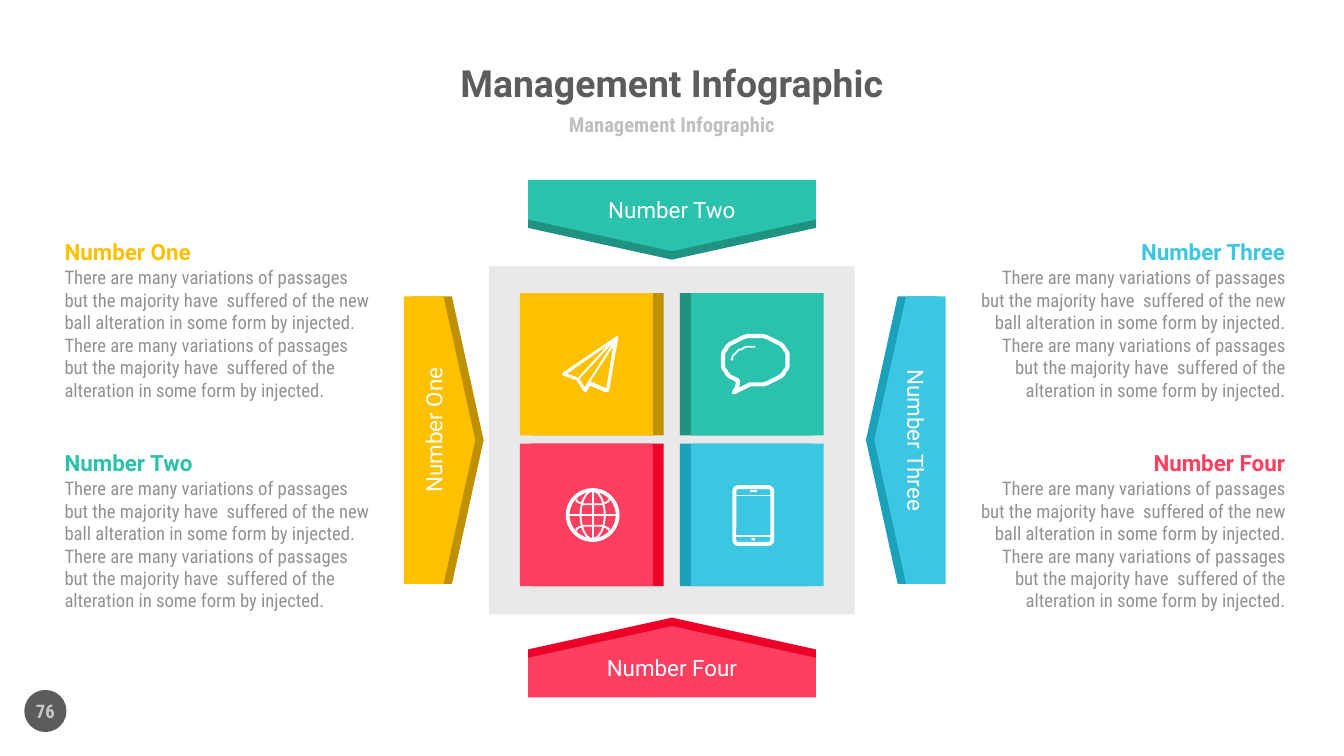
from math import cos, radians, sin

from lxml import etree
from pptx import Presentation
from pptx.dml.color import RGBColor
from pptx.enum import shapes, text
from pptx.oxml import ns
from pptx.util import Pt

COLORS = {
    "yellow": "FFC000", "yellow_dark": "BF9000",
    "teal": "2AC2AC", "teal_dark": "209281",
    "blue": "3BC7E2", "blue_dark": "1CA1BA",
    "red": "FF3F5F", "red_dark": "EE0028",
    "white": "FFFFFF", "panel": "E9E9E9", "title": "5C5C5C",
    "subtitle": "BFBFBF", "page": "C9C9C9", "body": "929292",
}
BODY = ("There are many variations of passages but the majority have  suffered of the new "
        "ball alteration in some form by injected. There are many variations of passages "
        "but the majority have  suffered of the alteration in some form by injected.")
SHAPE = shapes.MSO_SHAPE
ALIGN = text.PP_ALIGN
UNIT = 0.72


def rgb(name):
    """Return the named colour."""
    return RGBColor.from_string(COLORS[name])


def add_shape(s, kind, box, color):
    """Add a flat filled preset shape."""
    sp = s.shapes.add_shape(kind, *map(Pt, box))
    sp.shadow.inherit = False
    sp.fill.solid()
    sp.fill.fore_color.rgb = rgb(color)
    sp.line.fill.background()
    return sp


def add_text(s, box, words, size, color, font="Roboto", bold=False,
             align=ALIGN.CENTER, wrap=False, anchor=text.MSO_ANCHOR.MIDDLE):
    """Add a text box without insets."""
    sp = s.shapes.add_textbox(*map(Pt, box))
    tf = sp.text_frame
    tf.margin_left = tf.margin_right = tf.margin_top = tf.margin_bottom = 0
    tf.word_wrap = wrap
    tf.vertical_anchor = anchor
    p = tf.paragraphs[0]
    p.alignment = align
    r = p.add_run()
    r.text = words
    r.font.size = Pt(size)
    r.font.name = font
    r.font.bold = bold
    r.font.color.rgb = rgb(color)
    return sp


def outline(sp, width):
    """Give a shape a white line and no fill."""
    sp.shadow.inherit = False
    sp.fill.background()
    sp.line.color.rgb = rgb("white")
    sp.line.width = Pt(width)


def add_path(s, x, y, contours, close):
    """Add a freeform whose points are in icon units from x, y."""
    first, *rest = contours
    fb = s.shapes.build_freeform(*first[0], scale=Pt(UNIT))
    fb.add_line_segments(first[1:], close=close)
    for contour in rest:
        fb.move_to(*contour[0])
        fb.add_line_segments(contour[1:], close=close)
    return fb.convert_to_shape(Pt(x), Pt(y))


def add_line(s, x, y, ends, width):
    """Add a straight white line with its ends in icon units."""
    x1, y1, x2, y2 = (v * UNIT for v in ends)
    c = s.shapes.add_connector(shapes.MSO_CONNECTOR.STRAIGHT,
                               Pt(x + x1), Pt(y + y1), Pt(x + x2), Pt(y + y2))
    c.line.color.rgb = rgb("white")
    c.line.width = Pt(width)
    etree.SubElement(c._element.spPr, ns.qn("a:effectLst"))


def arc(cx, cy, rx, ry, start, end, step=6):
    """Return points along an ellipse, with angles in degrees."""
    return [(cx + rx * cos(radians(a)), cy + ry * sin(radians(a)))
            for a in range(start, end + 1, step)]


def plane_icon(s, x, y):
    """Draw a paper plane."""
    sp = add_path(s, x, y, [
        [(41, 0), (1, 27), (0, 29), (11, 33), (16, 41), (18, 42),
         (21, 37), (33, 42), (35, 41), (42, 1)],
        [(4, 28), (34, 7), (12, 31)],
        [(13, 32), (38, 5), (17, 38)],
        [(33, 39), (22, 34), (21, 34), (38, 8)],
    ], True)
    sp.shadow.inherit = False
    sp.fill.solid()
    sp.fill.fore_color.rgb = rgb("white")
    sp.line.fill.background()


def bubble_icon(s, x, y):
    """Draw a speech bubble with a highlight."""
    tail = [(18, 39.5), (14, 42.5), (9.5, 44.5), (12, 41), (13, 38)]
    outline(add_path(s, x, y, [arc(26, 20, 24.5, 18.3, 123, 463) + tail], True), 2.2)
    outline(add_path(s, x, y, [arc(26, 20, 17.5, 10.5, 180, 270)], False), 0.9)


def globe_icon(s, x, y):
    """Draw a globe with meridians and parallels."""
    for left, top, w, h, width in ((1.4, 1.4, 37.2, 37.2, 2), (11, 2, 18, 36, 1)):
        box = (x + left * UNIT, y + top * UNIT, w * UNIT, h * UNIT)
        outline(add_shape(s, SHAPE.OVAL, box, "white"), width)
    for ends in ((20, 2, 20, 38), (2, 20, 38, 20)):
        add_line(s, x, y, ends, 1)
    for cy, start in ((8.5, 0), (31.5, 180)):
        outline(add_path(s, x, y, [arc(20, cy, 12.5, 4, start, start + 180)], False), 1)


def phone_icon(s, x, y):
    """Draw a mobile phone."""
    case = add_shape(s, SHAPE.ROUNDED_RECTANGLE,
                     (x + 1.4 * UNIT, y + 1.4 * UNIT, 28.2 * UNIT, 42.2 * UNIT), "white")
    case.adjustments[0] = 0.1
    outline(case, 2.1)
    for ends in ((2, 7.5, 29, 7.5), (2, 37.5, 29, 37.5), (13, 4.5, 18, 4.5)):
        add_line(s, x, y, ends, 0.9)
    add_shape(s, SHAPE.OVAL, (x + 14 * UNIT, y + 39 * UNIT, 3 * UNIT, 2.2 * UNIT), "white")


def tile(s, box, color, inner_right, icon, dx, dy):
    """Draw a square with a dark inner edge and an icon."""
    x, y, w, h = box
    edge = 5.8
    add_shape(s, SHAPE.RECTANGLE, (x + edge * inner_right, y, w - edge, h), color + "_dark")
    add_shape(s, SHAPE.RECTANGLE, (x + edge * (not inner_right), y, w - edge, h), color)
    icon(s, x + dx, y + dy)


def matrix(s, box):
    """Draw the grey panel with four icon tiles."""
    x, y, w, h = box
    add_shape(s, SHAPE.RECTANGLE, box, "panel")
    tiles = (("yellow", plane_icon, 22.4, 23), ("teal", bubble_icon, 21.6, 21.6),
             ("red", globe_icon, 24.5, 23.8), ("blue", phone_icon, 28.1, 22.3))
    for i, (color, icon, dx, dy) in enumerate(tiles):
        row, col = divmod(i, 2)
        tile(s, (x + 16.5 + col * 85.7, y + 14.4 + row * 80.7, 77, 76.3),
             color, col == 0, icon, dx, dy)


def banner(s, center, words, color, turn, label_turn, shift=0):
    """Draw a banner that points along its turn, with a label."""
    cx, cy = center
    w, h = 154.1, 38.2
    ux, uy = -sin(radians(turn)), cos(radians(turn))
    for tone, step in ((color + "_dark", 4.5), (color, 0)):
        sp = add_shape(s, SHAPE.DOWN_ARROW_CALLOUT,
                       (cx + ux * step - w / 2, cy + uy * step - h / 2, w, h), tone)
        sp.rotation = turn
        for i, value in enumerate((3.707, 3.1, 0.445, 0.555)):
            sp.adjustments[i] = value
    label = add_text(s, (cx - ux * 3.3 - 38.5, cy - uy * 3.3 - 7.2 - shift, 77, 14.4),
                     words, 12, "white")
    label.rotation = label_turn


def note(s, box, words, color, align):
    """Write a coloured heading above a paragraph."""
    x, y, w, h = box
    top = text.MSO_ANCHOR.TOP
    add_text(s, (x, y, w, 14.4), words, 12, color, bold=True, align=align, wrap=True, anchor=top)
    add_text(s, (x, y + 15.1, w, h - 15.1), BODY, 10, "body", "Roboto Condensed",
             align=align, wrap=True, anchor=top)


def header(s, box):
    """Write the title and subtitle."""
    x, y, w, h = box
    add_text(s, (x, y, w, 28), "Management Infographic", 20, "title", bold=True)
    add_text(s, (x, y + 28, w, h - 28), "Management Infographic", 11, "subtitle",
             "Roboto Condensed", True)


def page_number(s, box):
    """Draw the page number on its disc."""
    add_shape(s, SHAPE.OVAL, box, "title")
    add_text(s, box, "76", 10, "page", "Roboto Condensed", True)


def main():
    """Build and save the slide."""
    prs = Presentation()
    prs.slide_width, prs.slide_height = Pt(720), Pt(405)
    s = prs.slides.add_slide(prs.slide_layouts[6])
    header(s, (138, 30.4, 444, 44))
    page_number(s, (13, 369.6, 22.6, 22.6))
    matrix(s, (262.1, 142.6, 195.8, 186.5))
    banner(s, (235.5, 235.8), "Number One", "yellow", 270, 270, 5.4)
    banner(s, (360, 115.5), "Number Two", "teal", 0, 0)
    banner(s, (487.5, 235.8), "Number Three", "blue", 90, 90)
    banner(s, (360, 354.5), "Number Four", "red", 180, 0)
    notes = (("Number One", "yellow"), ("Number Two", "teal"),
             ("Number Three", "blue"), ("Number Four", "red"))
    for i, (words, color) in enumerate(notes):
        col, row = divmod(i, 2)
        note(s, (34.6 + col * 488.3, 127.5 + row * 113, 165.6, 87.8), words, color,
             (ALIGN.LEFT, ALIGN.RIGHT)[col])
    prs.save("out.pptx")


if __name__ == "__main__":
    main()
